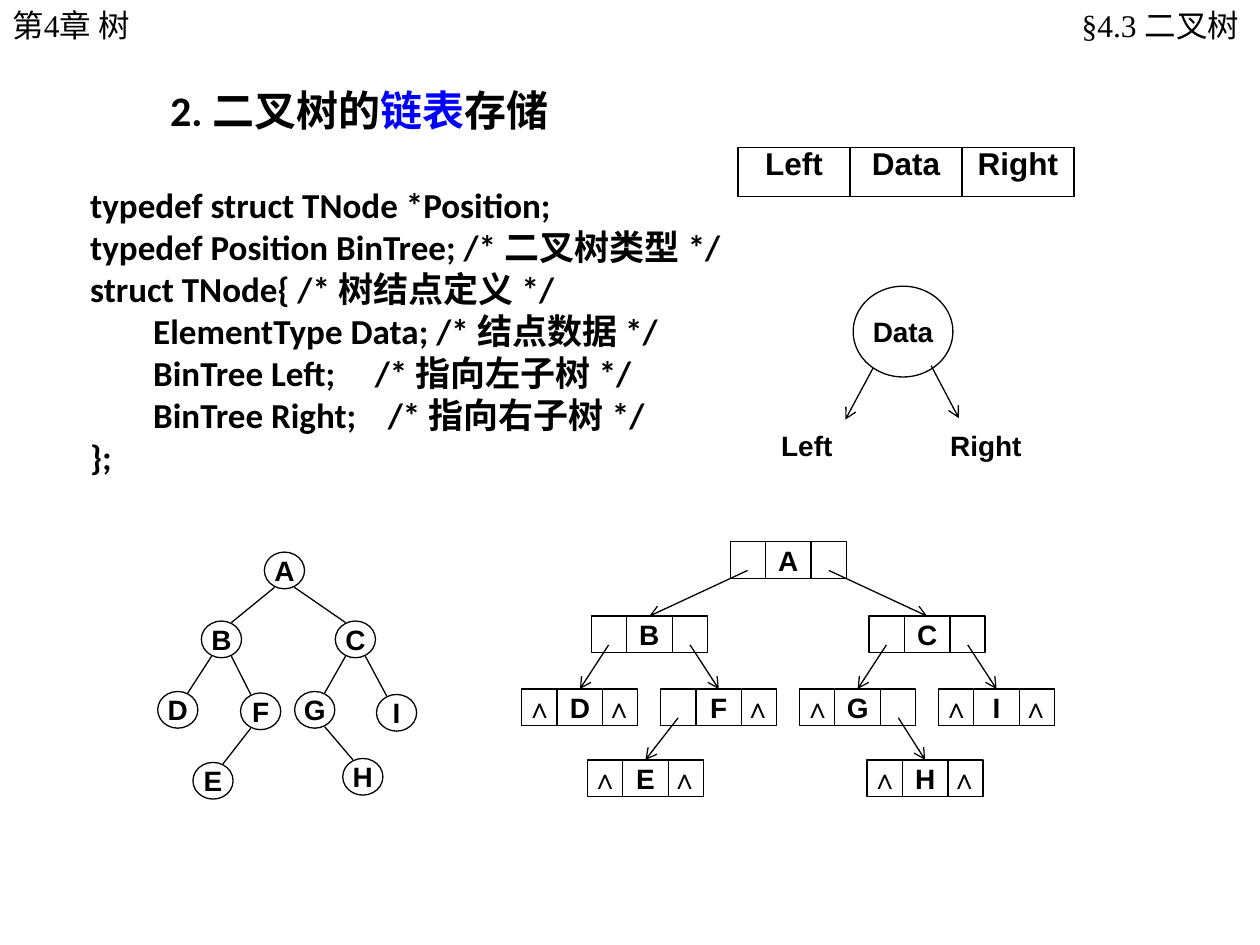
import pptx
import pptx.util
import pptx.dml.color
import pptx.enum.shapes
import pptx.enum.text
import pptx.oxml.ns
import lxml.etree

Cm = pptx.util.Cm
Pt = pptx.util.Pt
Kind = pptx.enum.shapes.MSO_SHAPE
Align = pptx.enum.text.PP_ALIGN
Anchor = pptx.enum.text.MSO_ANCHOR
BLACK, WHITE, BLUE = "000000", "FFFFFF", "0000FF"


def color(value):
    return pptx.dml.color.RGBColor.from_string(value)


def child(parent, tag, **values):
    return lxml.etree.SubElement(parent, pptx.oxml.ns.qn(tag), values)


class Deck:
    face = "Arial"
    size = 16
    line = 0.75

    def __init__(self, show):
        self.slide = show.slides.add_slide(show.slide_layouts[6])

    def style(self, frame, size=None, face=None, bold=True, align=Align.CENTER):
        for para in frame.paragraphs:
            para.alignment = align
            for run in para.runs:
                run.font.size = Pt(size or self.size)
                run.font.name = face or self.face
                run.font.bold = bold
                run.font.color.rgb = color(BLACK)

    def inset(self, frame, left=0, right=0):
        frame.margin_left, frame.margin_right = Cm(left), Cm(right)
        frame.margin_top = frame.margin_bottom = 0

    def text(self, words, x, y, w, h, **look):
        frame = self.slide.shapes.add_textbox(Cm(x), Cm(y), Cm(w), Cm(h)).text_frame
        frame.word_wrap = True
        frame.text = words
        self.style(frame, **look)
        return frame

    def shape(self, kind, words, x, y, w, h, align=Align.CENTER):
        item = self.slide.shapes.add_shape(kind, Cm(x), Cm(y), Cm(w), Cm(h))
        item.shadow.inherit = False
        item.fill.solid()
        item.fill.fore_color.rgb = color(WHITE)
        item.line.color.rgb = color(BLACK)
        item.line.width = Pt(self.line)
        frame = item.text_frame
        frame.text = words
        frame.vertical_anchor = Anchor.MIDDLE
        self.inset(frame)
        self.style(frame, align=align)
        return item

    def link(self, x, y, to_x, to_y, arrow=False):
        wire = self.slide.shapes.add_connector(
            pptx.enum.shapes.MSO_CONNECTOR.STRAIGHT, Cm(x), Cm(y), Cm(to_x), Cm(to_y))
        wire.line.color.rgb = color(BLACK)
        wire.line.width = Pt(self.line)
        if arrow:
            child(wire.line._get_or_add_ln(), "a:tailEnd", type="arrow")
        child(wire._element.spPr, "a:effectLst")
        return wire

    def table(self, words, x, y, w, h):
        grid = self.slide.shapes.add_table(1, len(words), Cm(x), Cm(y), Cm(w), Cm(h)).table
        for cell, word in zip(grid.iter_cells(), words):
            cell.text = word
            self.inset(cell, 0.18, 0.18)
            self.style(cell.text_frame, size=18)
            props = cell._tc.get_or_add_tcPr()
            for side in ("a:lnL", "a:lnR", "a:lnT", "a:lnB"):
                edge = child(props, side, w=str(Pt(1)))
                child(child(edge, "a:solidFill"), "a:srgbClr", val=BLACK)
            cell.fill.background()

    def node(self, name, left, right, x, y):
        label = f"\t{left}\t{name}\t{right}".rstrip()
        box = self.shape(Kind.RECTANGLE, label, x, y, NODE_W, NODE_H, Align.LEFT)
        props = box.text_frame.paragraphs[0]._p.get_or_add_pPr()
        stops = child(props, "a:tabLst")
        for stop in (0.36, 1.17, 1.96):
            child(stops, "a:tab", pos=str(Cm(stop)), algn="ctr")
        for split in (0.71, 1.63):
            self.link(x + split, y + NODE_H, x + split, y)
        return box


NODE_W, NODE_H = 2.34, 0.74
RING_W, RING_H = 0.81, 0.74
EDGES = [("A", "B", -1), ("A", "C", 1), ("B", "D", -1), ("B", "F", 1),
         ("C", "G", -1), ("C", "I", 1), ("F", "E", -1), ("G", "H", 1)]
RINGS = {"A": (5.33, 11.13), "B": (4.06, 12.52), "C": (6.76, 12.52),
         "D": (3.18, 13.94), "F": (4.85, 13.97), "G": (5.94, 13.94),
         "I": (7.59, 14), "E": (3.89, 15.37), "H": (6.91, 15.29)}
STEP, START = 2.8, 10.52
NODES = {"A": (START + 1.5 * STEP, 10.92), "B": (START + STEP / 2, 12.42),
         "C": (START + 2.5 * STEP, 12.42), "E": (11.84, 15.32), "H": (17.48, 15.32)}
NODES.update({name: (START + i * STEP, 13.89) for i, name in enumerate("DFGI")})
CODE = """typedef struct TNode *Position;
typedef Position BinTree; /* 二叉树类型 */
struct TNode{ /* 树结点定义 */
\tElementType Data; /* 结点数据 */
\tBinTree Left;     /* 指向左子树 */
\tBinTree Right;    /* 指向右子树 */
};"""


def main():
    show = pptx.Presentation()
    show.slide_width, show.slide_height = Cm(25.4), Cm(19.05)
    deck = Deck(show)

    title = deck.text("2. 二叉树的", 3.18, 1.57, 8.26, 1.27)
    for part in ("链表", "存储"):
        title.paragraphs[0].add_run().text = part
    deck.style(title, size=24, face="Calibri", align=Align.LEFT)
    title.paragraphs[0].runs[1].font.color.rgb = color(BLUE)

    head = dict(size=18, face="Times New Roman", bold=False)
    deck.text("第4章 树", 0, 0, 5.31, 1.02, align=Align.LEFT, **head)
    part = deck.text("§4.3 二叉树", 15.7, 0, 9.68, 1.02, align=Align.RIGHT, **head)
    part.margin_left, part.margin_right = Cm(0.3), Cm(0.4)
    deck.text(CODE, 1.57, 3.58, 14.1, 6.25, size=20, face="Calibri", align=Align.LEFT)

    deck.table(["Left", "Data", "Right"], 14.88, 2.97, 6.77, 0.99)
    deck.shape(Kind.OVAL, "Data", 17.2, 5.77, 2.01, 1.83)
    deck.link(17.6, 7.42, 17.04, 8.46, arrow=True)
    deck.link(18.77, 7.37, 19.33, 8.43, arrow=True)
    for word, x, w in (("Left", 14.88, 2.77), ("Right", 18.21, 3.33)):
        deck.inset(deck.text(word, x, 8.64, w, 0.86))

    for top, low, side in EDGES:
        (x, y), (to_x, to_y) = RINGS[top], RINGS[low]
        mid_x, mid_y = RING_W / 2, RING_H / 2
        deck.link(x + mid_x + side * 0.2, y + mid_y + 0.34,
                  to_x + mid_x - side * 0.2, to_y + mid_y - 0.34)
    for name, (x, y) in RINGS.items():
        deck.shape(Kind.OVAL, name, x, y, RING_W, RING_H)

    used = {(top, side) for top, low, side in EDGES}
    boxes = {}
    for name, (x, y) in NODES.items():
        left, right = ("" if (name, side) in used else "∧" for side in (-1, 1))
        boxes[name] = deck.node(name, left, right, x, y)
    for top, low, side in EDGES:
        x, y = NODES[top]
        to_x, to_y = NODES[low]
        wire = deck.link(x + NODE_W / 2 + side * 0.82, y + 0.58,
                         to_x + NODE_W / 2, to_y, arrow=True)
        wire.end_connect(boxes[low], 0)

    show.save("out.pptx")


if __name__ == "__main__":
    main()
